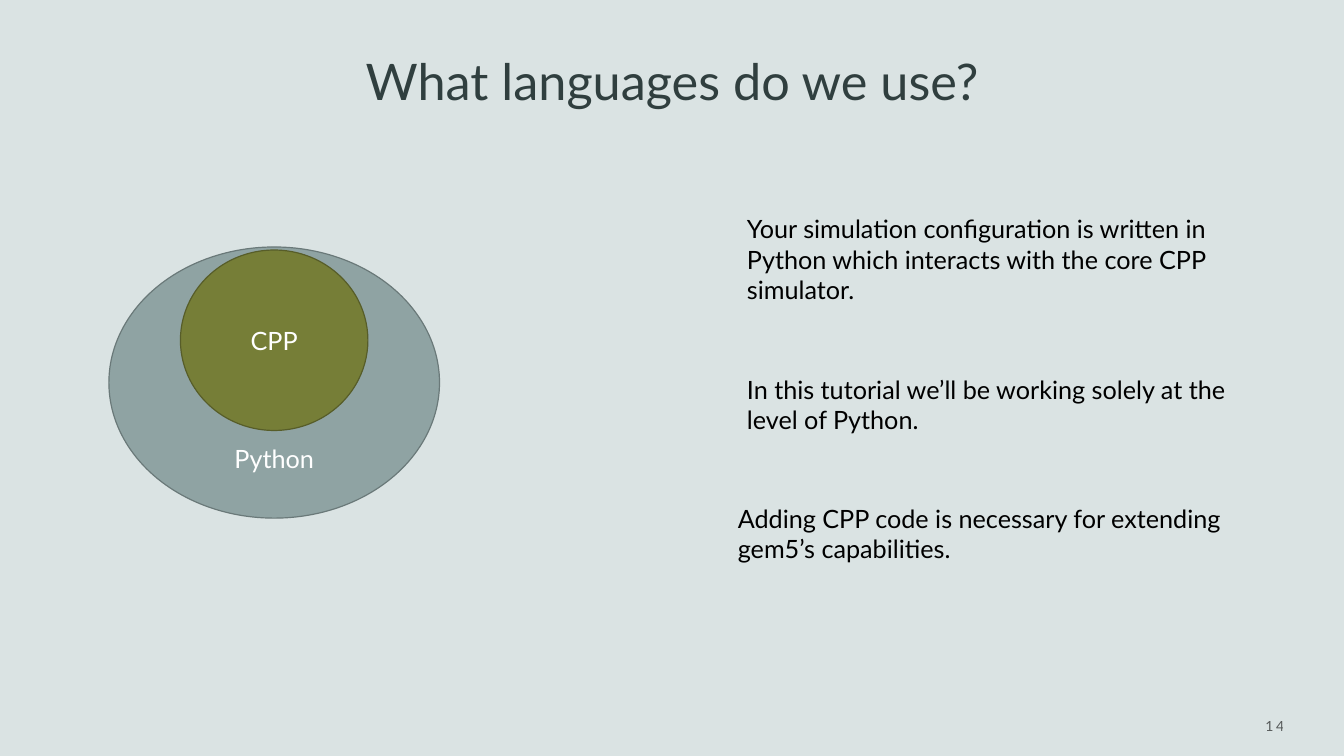
import pptx
import pptx.util
import pptx.dml.color
import pptx.enum.shapes
import pptx.enum.text
from lxml import etree

ALIGN = pptx.enum.text.PP_ALIGN
ANCHOR = pptx.enum.text.MSO_ANCHOR

prs = pptx.Presentation()
prs.slide_width = pptx.util.Inches(13.33)
prs.slide_height = pptx.util.Inches(7.5)
s = prs.slides.add_slide(prs.slide_layouts[6])

# Grid of 100 columns by 100 rows
COL = prs.slide_width / 100
ROW = prs.slide_height / 100


def paint(color_format, color):
    color_format.rgb = pptx.dml.color.RGBColor.from_string(color)


def write(sp, text, size, color, align, anchor):
    tf = sp.text_frame
    tf.word_wrap = True
    tf.vertical_anchor = anchor
    p = tf.paragraphs[0]
    p.alignment = align
    r = p.add_run()
    r.text = text
    r.font.size = pptx.util.Pt(size)
    r.font.name = "Lato"
    paint(r.font.color, color)
    return r


# Background
s.background.fill.solid()
paint(s.background.fill.fore_color, "DAE3E3")

# Nested language ellipses, sharing one vertical axis
AXIS = 20.4
for text, top, width, height, fill, line, anchor in [
    ("Python", 32.67, 24.6, 35.87, "8FA3A3", "6A7979", ANCHOR.BOTTOM),
    ("CPP", 33.07, 13.95, 23.87, "767E37", "575D29", ANCHOR.MIDDLE),
]:
    sp = s.shapes.add_shape(
        pptx.enum.shapes.MSO_SHAPE.OVAL,
        int((AXIS - width / 2) * COL), int(top * ROW), int(width * COL), int(height * ROW))
    sp.shadow.inherit = False
    sp.fill.solid()
    paint(sp.fill.fore_color, fill)
    paint(sp.line.color, line)
    sp.line.width = pptx.util.Pt(0.85)
    write(sp, text, 18, "FFFFFF", ALIGN.CENTER, anchor)

# Title, explanations and slide number
for text, left, top, width, height, size, color, align, anchor in [
    ("What languages do we use?",
     8.1, 5.73, 83.8, 9.6, 36, "303F3F", ALIGN.CENTER, ANCHOR.BOTTOM),
    ("Your simulation configuration is written in Python which interacts with the core CPP simulator.",
     54.84, 27.6, 39.3, 13.47, 18, "000000", ALIGN.LEFT, ANCHOR.TOP),
    ("In this tutorial we’ll be working solely at the level of Python.",
     54.84, 48.8, 39.3, 9.47, 18, "000000", ALIGN.LEFT, ANCHOR.TOP),
    ("Adding CPP code is necessary for extending gem5’s capabilities.",
     54.16, 65.87, 39.3, 9.47, 18, "000000", ALIGN.LEFT, ANCHOR.TOP),
    ("14", 81.9, 92.67, 14.4, 6.67, 10, "000000", ALIGN.RIGHT, ANCHOR.MIDDLE),
]:
    sp = s.shapes.add_textbox(int(left * COL), int(top * ROW), int(width * COL), int(height * ROW))
    r = write(sp, text, size, color, align, anchor)

# Slide number: wide spacing, 60 % opacity
rPr = r.font._element
rPr.set("spc", "200")
rgb = rPr.find(".//" + pptx.oxml.ns.qn("a:srgbClr"))
etree.SubElement(rgb, pptx.oxml.ns.qn("a:alpha")).set("val", "60000")

prs.save("out.pptx")
